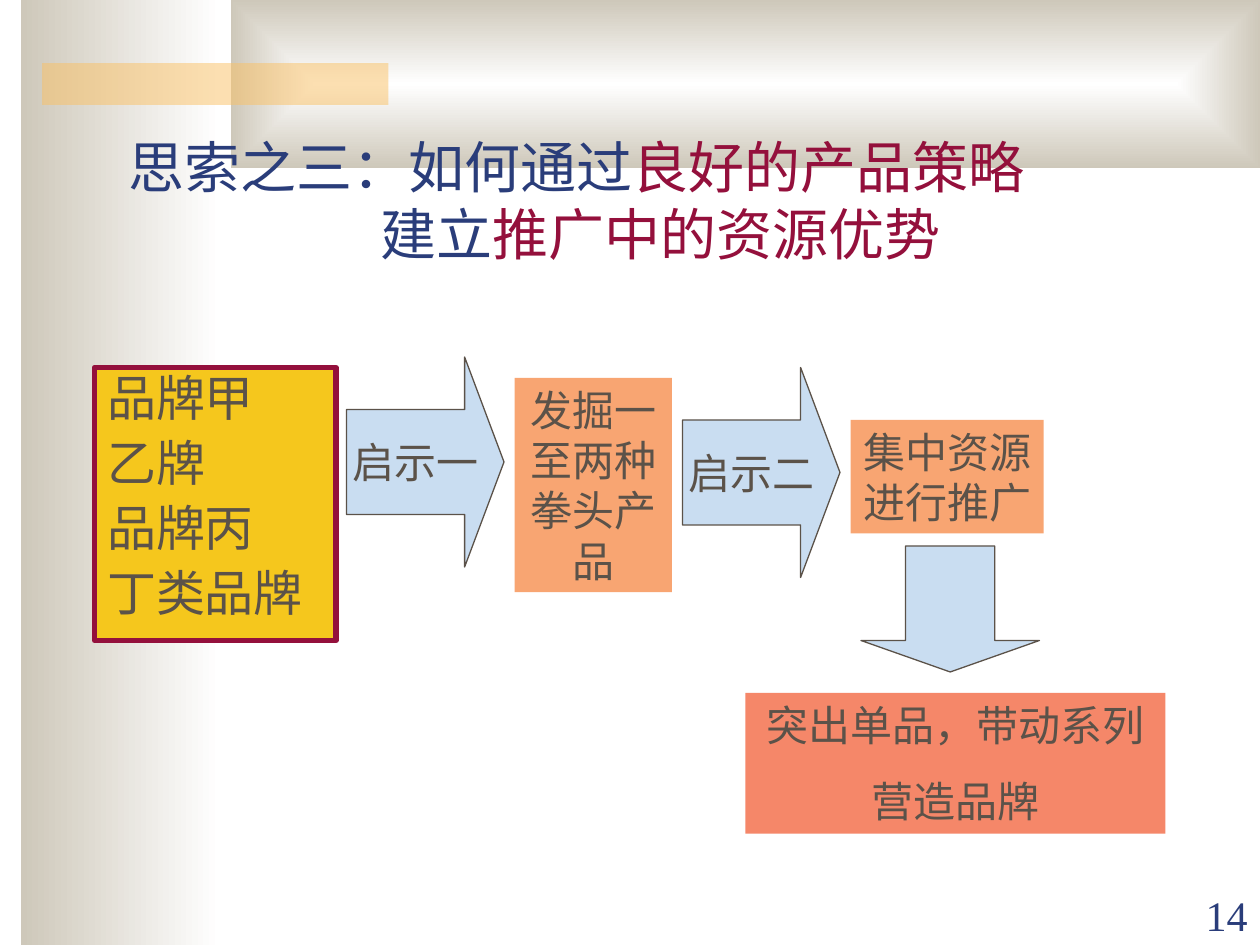
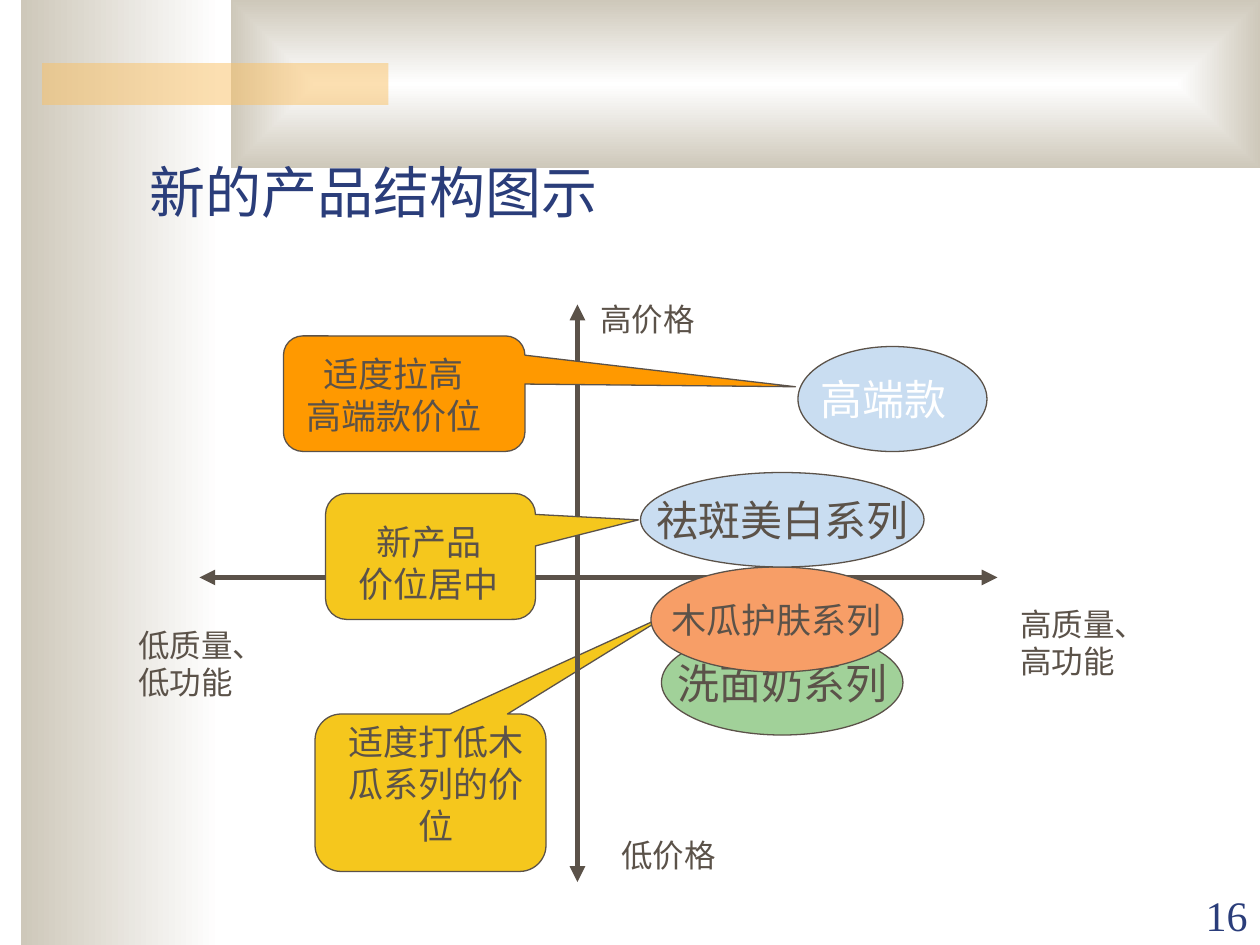
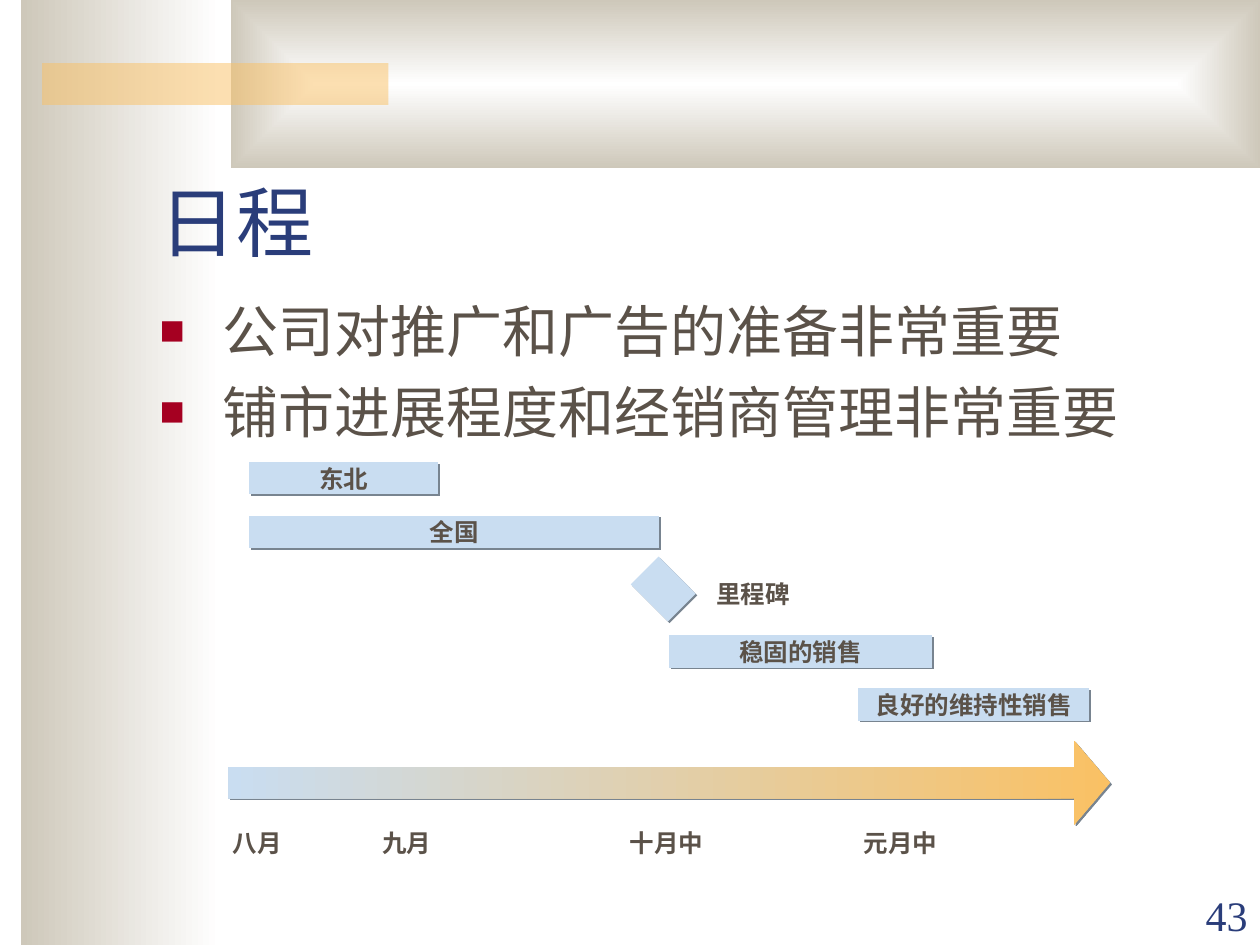
import lxml.etree
import pptx
import pptx.dml.color
import pptx.enum.shapes
import pptx.enum.text
import pptx.oxml.ns
import pptx.util

HUES = {
    "white": "FFFFFF", "sand": "CEC8BA", "gold": "FAC164", "navy": "2A3D7A",
    "wine": "94103C", "ink": "5B5249", "sun": "F5C71D", "sky": "C9DDF1",
    "peach": "F8A572", "coral": "F58769", "leaf": "A1D199", "melon": "F79E67",
    "orange": "FF9900", "mark": "A50021", "shade": "788490",
}
KIND = pptx.enum.shapes.MSO_SHAPE
ALIGN = pptx.enum.text.PP_ALIGN
ANCHOR = pptx.enum.text.MSO_ANCHOR
SERIF, SANS = "Times New Roman", "Arial"
COLS, ROWS = 120, 90
CELL = pptx.util.Inches(10) // COLS
TOP = {"vertical_anchor": ANCHOR.TOP}
LOOSE = {"word_wrap": False, "vertical_anchor": ANCHOR.MIDDLE}
OPEN = {"word_wrap": False}
MID = {"alignment": ALIGN.CENTER}
SMALL = {"name": SANS, "size": pptx.util.Pt(14), "bold": True}


def rgb(hue):
    return pptx.dml.color.RGBColor.from_string(HUES[hue])


def node(parent, tag, attrs=None):
    return lxml.etree.SubElement(parent, pptx.oxml.ns.qn(tag), attrs or {})


def style(item, values):
    for name, value in values.items():
        setattr(item, name, value)


def cells(*spans):
    """Turn grid columns and rows into lengths."""
    return [round(span * CELL) for span in spans]


def place(item, box):
    style(item, dict(zip(("left", "top", "width", "height"), cells(*box))))


def write(item, lines, size=24, hue="ink", font=None, para=None, frame=None, gap=0):
    """Write each line as a paragraph; a line is a string or (text, hue) pairs."""
    body = item.text_frame
    style(body, {"word_wrap": True, "vertical_anchor": ANCHOR.TOP,
                 "auto_size": pptx.enum.text.MSO_AUTO_SIZE.NONE, **(frame or {})})
    for i, line in enumerate(lines):
        part = body.add_paragraph() if i else body.paragraphs[0]
        style(part, {"alignment": ALIGN.LEFT, **(para or {}),
                     "space_before": pptx.util.Pt(gap if i else 0)})
        for text, tint in [(line, hue)] if isinstance(line, str) else line:
            run = part.add_run()
            run.text = text
            style(run.font, {"name": SERIF, "size": pptx.util.Pt(size), **(font or {})})
            run.font.color.rgb = rgb(tint)
    return body


def label(slide, box, lines, **form):
    item = slide.shapes.add_textbox(*cells(*box))
    write(item, lines, **form)


def paint(item, fill, edge=None, width=0.75):
    item.fill.solid()
    item.fill.fore_color.rgb = rgb(fill)
    if edge:
        item.line.color.rgb = rgb(edge)
        item.line.width = pptx.util.Pt(width)
    else:
        item.line.fill.background()


def shape(slide, kind, box, fill, edge=None, adjust=()):
    item = slide.shapes.add_shape(kind, *cells(*box))
    item.shadow.inherit = False
    for i, value in enumerate(adjust):
        item.adjustments[i] = value
    paint(item, fill, edge)
    return item


def blend(item, first, last):
    """Fill with a gradient that runs from right to left."""
    item.fill.gradient()
    item.fill.gradient_angle = 180
    for stop, hue in zip(item.fill.gradient_stops, (first, last)):
        stop.color.rgb = rgb(hue)


def shade(item):
    """Cast a hard shadow down and to the right."""
    effects = item._element.spPr.find(pptx.oxml.ns.qn("a:effectLst"))
    cast = node(effects, "a:outerShdw", {"blurRad": "0", "dist": "17780", "dir": "2700000"})
    node(cast, "a:srgbClr", {"val": HUES["shade"]})


def axis(slide, *ends):
    item = slide.shapes.add_connector(
        pptx.enum.shapes.MSO_CONNECTOR.STRAIGHT, *cells(*ends))
    item.line.color.rgb = rgb("ink")
    item.line.width = pptx.util.Pt(3)
    stroke = item.line._get_or_add_ln()
    for tag in ("a:headEnd", "a:tailEnd"):
        node(stroke, tag, {"type": "triangle"})
    node(item._element.spPr, "a:effectLst")


def title(slide, box, lines, size=32):
    item = slide.shapes.title
    place(item, box)
    return write(item, lines, size, "navy", frame={"vertical_anchor": ANCHOR.BOTTOM})


def points(slide, box, lines, size, gap, mark=None, para=None):
    """Fill the body placeholder with a hanging list."""
    item = slide.placeholders[1]
    place(item, box)
    body = write(item, lines, size, gap=gap, para=para)
    hang = CELL * 6
    for part in body.paragraphs:
        props = part._p.get_or_add_pPr()
        props.set("marL", str(hang))
        props.set("indent", str(-hang))
        if mark:
            node(node(props, "a:buClr"), "a:srgbClr", {"val": HUES["mark"]})
            node(props, "a:buSzPct", {"val": "75000"})
            node(props, "a:buChar", {"char": mark})
        else:
            node(props, "a:buNone")
    return item


def number(slide, text):
    label(slide, (108, 84.1, 12, 6), [text], hue="navy", para={"alignment": ALIGN.RIGHT},
          frame={"vertical_anchor": ANCHOR.BOTTOM})


def backdrop(deck, slide):
    """Draw the shared bands and hand them to the slide master."""
    side = shape(slide, KIND.RECTANGLE, (2, 0, 19, ROWS), "sand")
    blend(side, "white", "sand")
    head = shape(slide, KIND.RECTANGLE, (22, 0, COLS - 22, 16), "sand")
    blend(head, "white", "sand")
    grad = head._element.spPr.find(pptx.oxml.ns.qn("a:gradFill"))
    grad.remove(grad.find(pptx.oxml.ns.qn("a:lin")))
    glow = node(grad, "a:path", {"path": "rect"})
    node(glow, "a:fillToRect", dict.fromkeys("ltrb", "50000"))
    strip = shape(slide, KIND.RECTANGLE, (4, 6, 33, 4), "gold")
    tint = next(strip._element.spPr.iter(pptx.oxml.ns.qn("a:srgbClr")))
    node(tint, "a:alpha", {"val": "50000"})
    tree = deck.slide_master.shapes._spTree
    for i, band in enumerate((side, head, strip)):
        band._element.nvSpPr.cNvPr.set("id", str(100 + i))
        tree.insert(2 + i, band._element)


def strategy(slide):
    body = title(slide, (11, 13, 102, 13), [
        [("思索之三：如何通过", "navy"), ("良好的产品策略", "wine")],
        [("建立", "navy"), ("推广中的资源优势", "wine")]])
    body.paragraphs[1]._p.get_or_add_pPr().set("marL", str(CELL * 24))
    brands = points(slide, (9, 35, 23, 26), ["品牌甲", "乙牌", "品牌丙", "丁类品牌"],
                    28, 7, para={"line_spacing": 0.9})
    paint(brands, "sun", "wine", 3)
    for left, top, text in ((33, 34, "启示一"), (65, 35, "启示二")):
        arrow = shape(slide, KIND.RIGHT_ARROW, (left, top, 15, 20), "sky", "ink", (0.5, 0.25))
        write(arrow, [text], para=MID, frame=LOOSE)
    for box, fill, lines, frame, gap in (
            ((49, 36, 15, 20.4), "peach", ["发掘一至两种拳头产品"], TOP, 0),
            ((81, 40, 18.4, 10.8), "peach", ["集中资源", "进行推广"], OPEN, 0),
            ((71, 66, 40, 13.4), "coral", ["突出单品，带动系列", "营造品牌"], TOP, 15)):
        step = shape(slide, KIND.RECTANGLE, box, fill)
        write(step, lines, para=MID, frame=frame, gap=gap)
    shape(slide, KIND.DOWN_ARROW, (82, 52, 17, 12), "sky", "ink", (0.5, 0.25))


def callout(slide, box, fill, tip, area, lines, frame):
    shape(slide, KIND.ROUNDED_RECTANGULAR_CALLOUT, box, fill, "ink", (*tip, 0.167))
    label(slide, area, lines, size=20, para=MID, frame=frame)


def oval(slide, box, fill, text, size=24):
    item = shape(slide, KIND.OVAL, box, fill, "ink")
    write(item, [text], size, para=MID, frame=LOOSE)


def structure(slide):
    title(slide, (13, 7, 102, 15), ["新的产品结构图示"])
    callout(slide, (30, 68, 22, 15), "sun", (1.04, -1.14), (31, 68, 21, 13.2),
            ["适度打低木瓜系列的价位"], TOP)
    oval(slide, (63, 60, 23, 10), "leaf", "洗面奶系列")
    shape(slide, KIND.OVAL, (76, 33, 18, 10), "sky", "ink")
    axis(slide, 19, 55, 95, 55)
    axis(slide, 55, 29, 55, 84)
    for box, text in (((96, 57, 14, 8.4), "高质量、高功能"),
                      ((12, 59, 12, 8.4), "低质量、低功能"),
                      ((56, 28, 12, 4.8), "高价格"),
                      ((58, 79, 14, 4.8), "低价格")):
        label(slide, box, [text], size=18)
    label(slide, (77, 35, 16, 6), ["高端款"], hue="white")
    oval(slide, (62, 54, 24, 10), "melon", "木瓜护肤系列", 20)
    oval(slide, (61, 45, 27, 9), "sky", "祛斑美白系列")
    callout(slide, (27, 32, 23, 11), "orange", (1.62, -0.06), (28, 33, 19, 9.2),
            ["适度拉高", "高端款价位"], OPEN)
    callout(slide, (31, 47, 20, 12), "sun", (0.99, -0.29), (33, 49, 15.7, 9.2),
            ["新产品", "价位居中"], OPEN)


def schedule(slide):
    title(slide, (14, 11, 102, 15), ["日程"], 44)
    points(slide, (14, 27.6, 102, 27),
           ["公司对推广和广告的准备非常重要", "铺市进展程度和经销商管理非常重要"], 32, 8, "■")
    for left, top, width, text in ((23.75, 44, 18, "东北"), (23.75, 49.1, 39, "全国"),
                                   (63.75, 60.5, 25, "稳固的销售"),
                                   (81.75, 65.55, 22, "良好的维持性销售")):
        bar = shape(slide, KIND.FLOWCHART_PROCESS, (left, top, width, 3.1), "sky")
        shade(bar)
        write(bar, [text], font=SMALL, para=MID, frame=LOOSE)
    label(slide, (59.75, 53.3, 24, 5.3), ["里程碑"], font=SMALL, para=MID,
          frame={"vertical_anchor": ANCHOR.MIDDLE, "margin_top": pptx.util.Inches(0.15)})
    stone = shape(slide, KIND.RECTANGLE, (61.3, 53.6, 3.75, 5), "sky")
    stone.rotation = 315
    shade(stone)
    arrow = shape(slide, KIND.RIGHT_ARROW, (21.75, 70.55, 84, 8), "sky", adjust=(0.37, 0.43))
    blend(arrow, "gold", "sky")
    shade(arrow)
    for left, text in ((21, "八月"), (35.25, "九月"), (58.8, "十月中"), (81.1, "元月中")):
        label(slide, (left, 78.25, 9.4, 4), [text], font=SMALL, frame=OPEN)


def main():
    deck = pptx.Presentation()
    style(deck, {"slide_width": CELL * COLS, "slide_height": CELL * ROWS})
    pages = ((1, strategy, "14"), (5, structure, "16"), (1, schedule, "43"))
    for i, (layout, draw, count) in enumerate(pages):
        slide = deck.slides.add_slide(deck.slide_layouts[layout])
        if i == 0:
            backdrop(deck, slide)
        draw(slide)
        number(slide, count)
    deck.save("out.pptx")


if __name__ == "__main__":
    main()
